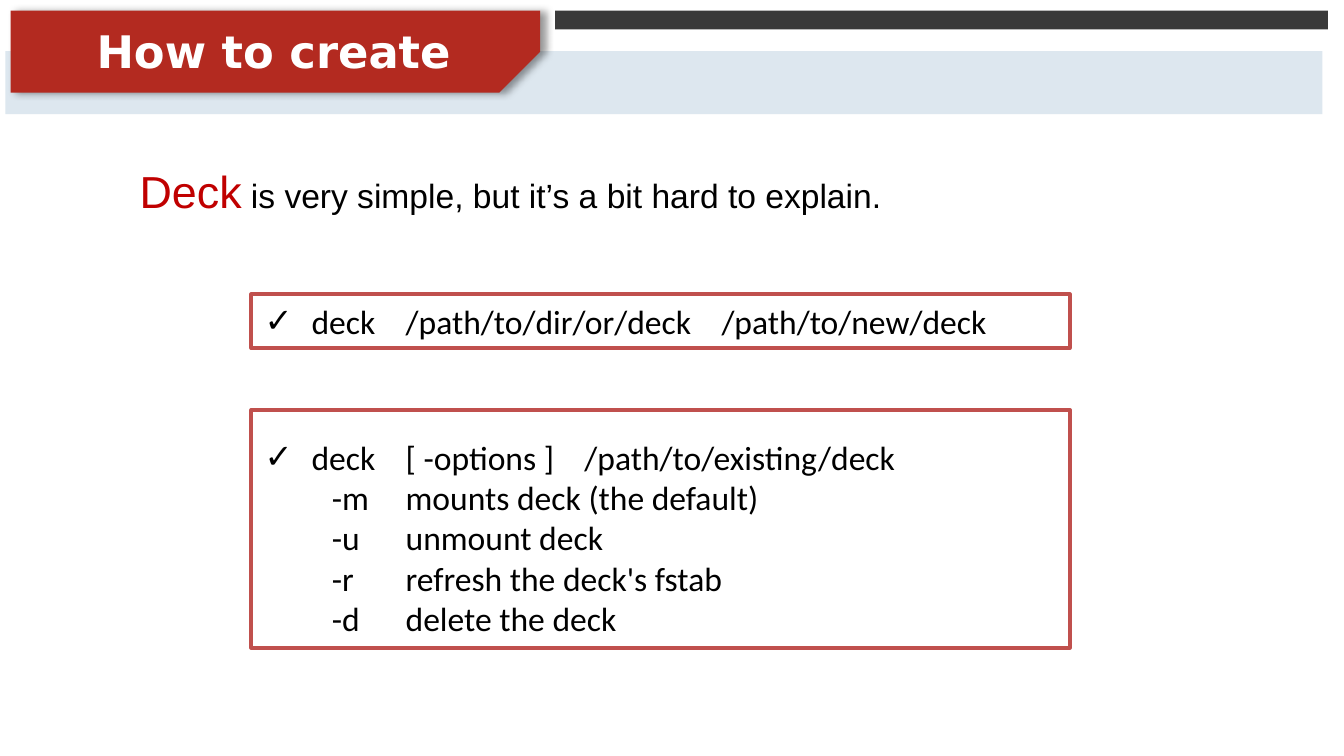
"""Build a slide that explains the two forms of the deck command."""
from typing import NamedTuple

from lxml.etree import SubElement
from pptx import Presentation
from pptx.dml.color import RGBColor
from pptx.enum.shapes import MSO_SHAPE
from pptx.enum.text import MSO_ANCHOR, PP_ALIGN
from pptx.oxml.ns import qn
from pptx.shapes.autoshape import Shape
from pptx.slide import Slide
from pptx.text.text import Font
from pptx.util import Inches, Pt


class Box(NamedTuple):
    """Position and size in inches."""

    left: float
    top: float
    width: float
    height: float


class Line(NamedTuple):
    """A command or option line, with its columns and their tab stops in inches."""

    columns: tuple[str, ...]
    stops: tuple[float, ...]
    bullet: bool = False
    spacing: float = 1.0


class Run(NamedTuple):
    """A piece of text with its own size and colour."""

    text: str
    size: int
    color: str


SLIDE_WIDTH = 10
SLIDE_HEIGHT = SLIDE_WIDTH * 9 / 16
COMMAND_LEFT, OPTION_LEFT, ARGUMENT_LEFT = 0.35, 0.5, 1.05
OPTIONS = (
    ("-m", "mounts deck (the default)"),
    ("-u", "unmount deck"),
    ("-r", "refresh the deck's fstab"),
    ("-d", "delete the deck"),
)
CREATE_LINES = [
    Line(("deck", "/path/to/dir/or/deck", "/path/to/new/deck"),
         (COMMAND_LEFT, ARGUMENT_LEFT, 3.4), bullet=True),
]
MANAGE_LINES = [
    Line(("deck", "[ -options ]", "/path/to/existing/deck"),
         (COMMAND_LEFT, ARGUMENT_LEFT, 2.38), bullet=True, spacing=1.5),
    *(Line(option, (OPTION_LEFT, ARGUMENT_LEFT)) for option in OPTIONS),
]


def rgb(color: str) -> RGBColor:
    """Turn a hex string into a colour."""
    return RGBColor.from_string(color)


def style_font(font: Font, name: str, size: int, color: str, bold: bool = False) -> None:
    """Set the look of a font."""
    font.name = name
    font.size = Pt(size)
    font.bold = bold
    font.color.rgb = rgb(color)


def add_block(slide: Slide, box: Box, fill: str,
              preset: MSO_SHAPE = MSO_SHAPE.RECTANGLE) -> Shape:
    """Add a filled shape without outline or shadow."""
    shape = slide.shapes.add_shape(preset, *map(Inches, box))
    shape.shadow.inherit = False
    shape.fill.solid()
    shape.fill.fore_color.rgb = rgb(fill)
    shape.line.fill.background()
    return shape


def add_banner(slide: Slide, box: Box, fill: str) -> None:
    """Add the title banner with its lower right corner cut and a soft shadow."""
    banner = add_block(slide, box, fill, MSO_SHAPE.SNIP_1_RECTANGLE)
    banner.adjustments[0] = 0.5
    properties = banner._element.spPr
    properties.find(qn("a:xfrm")).set("flipV", "1")
    shadow = SubElement(properties.find(qn("a:effectLst")), qn("a:outerShdw"),
                        blurRad=str(Pt(4)), dist=str(Pt(3)), dir="0",
                        algn="l", rotWithShape="0")
    color = SubElement(shadow, qn("a:srgbClr"), val="000000")
    SubElement(color, qn("a:alpha"), val="40000")


def add_text(slide: Slide, box: Box, runs: list[Run], font_name: str,
             bold: bool = False) -> None:
    """Add one line of text made of styled runs."""
    frame = slide.shapes.add_textbox(*map(Inches, box)).text_frame
    frame.word_wrap = True
    for piece in runs:
        run = frame.paragraphs[0].add_run()
        run.text = piece.text
        style_font(run.font, font_name, piece.size, piece.color, bold)


def add_command_box(slide: Slide, box: Box, lines: list[Line]) -> None:
    """Add an outlined box with command lines set on tab stops."""
    shape = add_block(slide, box, "FFFFFF")
    shape.line.color.rgb = rgb("C0504D")
    shape.line.width = Pt(2)
    frame = shape.text_frame
    frame.word_wrap = True
    frame.vertical_anchor = MSO_ANCHOR.TOP
    for index, line in enumerate(lines):
        paragraph = frame.add_paragraph() if index else frame.paragraphs[0]
        paragraph.add_run().text = "".join(f"\t{column}" for column in line.columns)
        paragraph.alignment = PP_ALIGN.LEFT
        paragraph.line_spacing = line.spacing
        properties = paragraph._p.get_or_add_pPr()
        if line.bullet:
            SubElement(properties, qn("a:buFont"), typeface="Arial")
            SubElement(properties, qn("a:buChar"), char="✓")
        tabs = SubElement(properties, qn("a:tabLst"))
        for stop in line.stops:
            SubElement(tabs, qn("a:tab"), pos=str(Inches(stop)), algn="l")
        style_font(paragraph.font, "Calibri", 18, "000000")


def main() -> None:
    """Create the presentation and save it."""
    presentation = Presentation()
    presentation.slide_width = Inches(SLIDE_WIDTH)
    presentation.slide_height = Inches(SLIDE_HEIGHT)
    slide = presentation.slides.add_slide(presentation.slide_layouts[6])

    add_block(slide, Box(0.04, 0.38, 9.8, 0.47), "DDE7EF")
    add_block(slide, Box(4.13, 0.08, 5.75, 0.14), "3A3A3A")
    add_banner(slide, Box(0.08, 0.08, 3.94, 0.61), "B32A20")
    add_text(slide, Box(0.62, 0.13, 3.9, 0.5),
             [Run("How to create", 24, "FFFFFF")], "DejaVu Sans", bold=True)
    add_text(slide, Box(0.94, 1.17, 6.02, 0.5),
             [Run("Deck", 24, "C00000"),
              Run(" is very simple, but it’s a bit hard to explain.", 18, "000000")],
             "Arial")
    add_command_box(slide, Box(1.87, 2.19, 6.09, 0.4), CREATE_LINES)
    add_command_box(slide, Box(1.87, 3.05, 6.09, 1.77), MANAGE_LINES)
    presentation.save("out.pptx")


if __name__ == "__main__":
    main()
